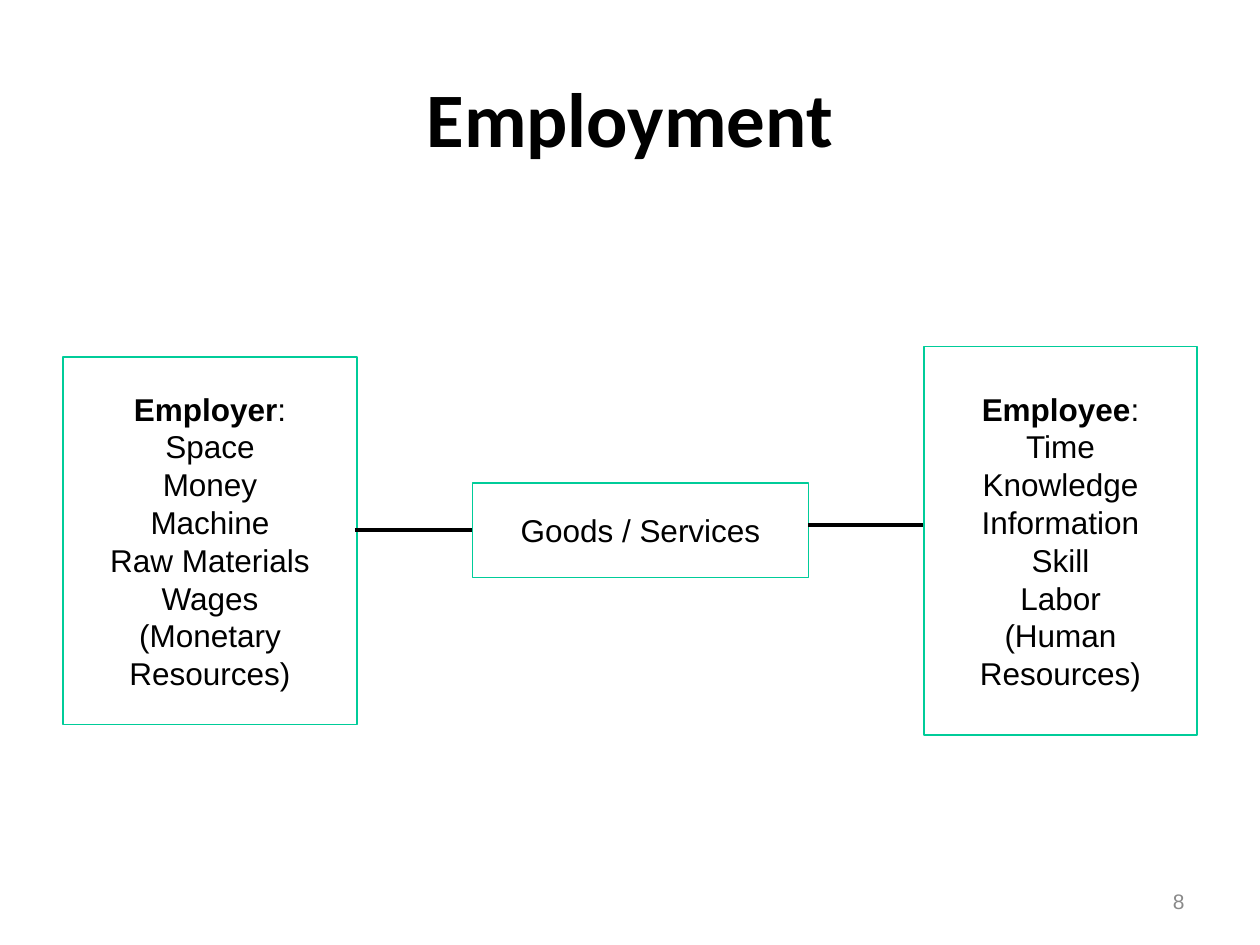
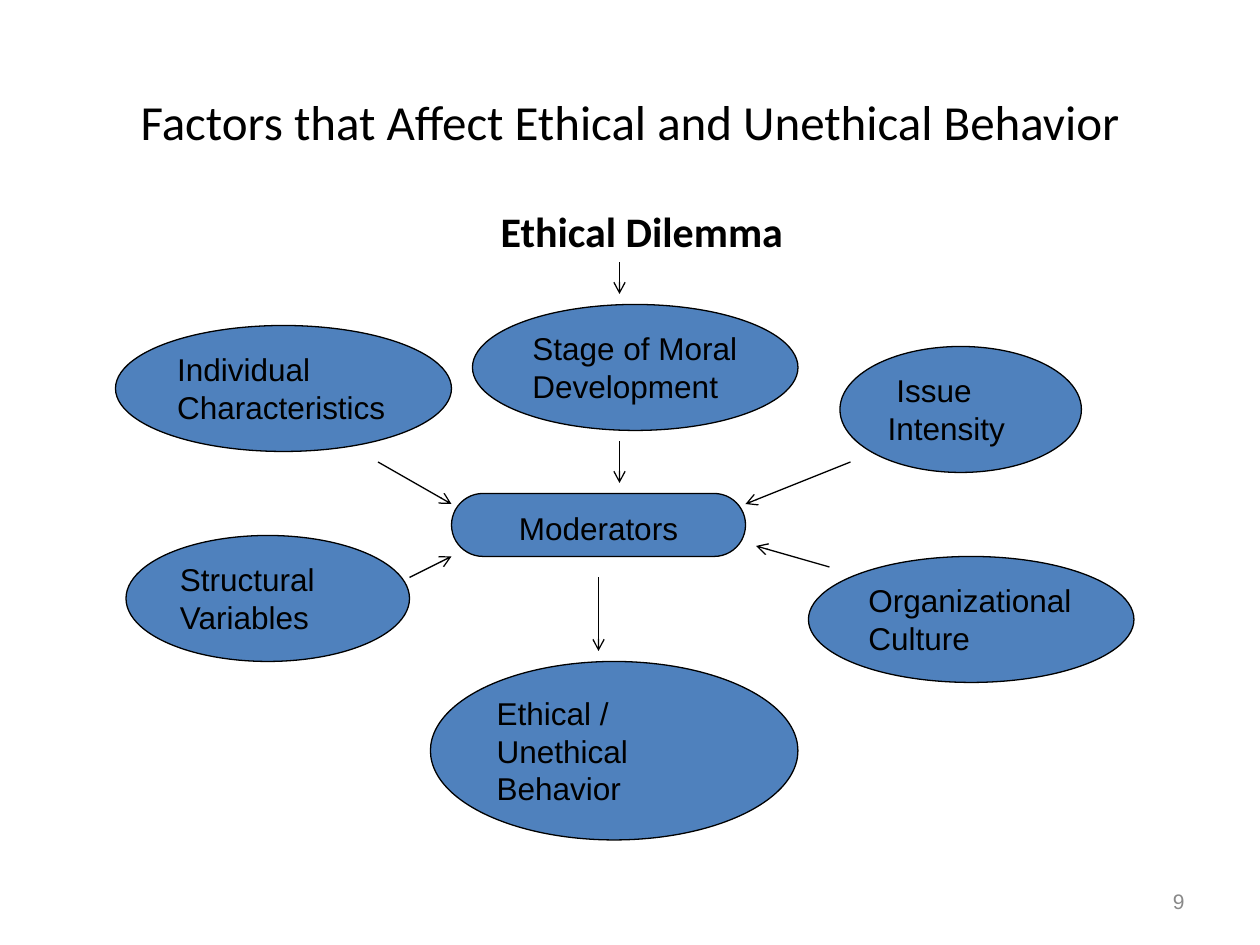
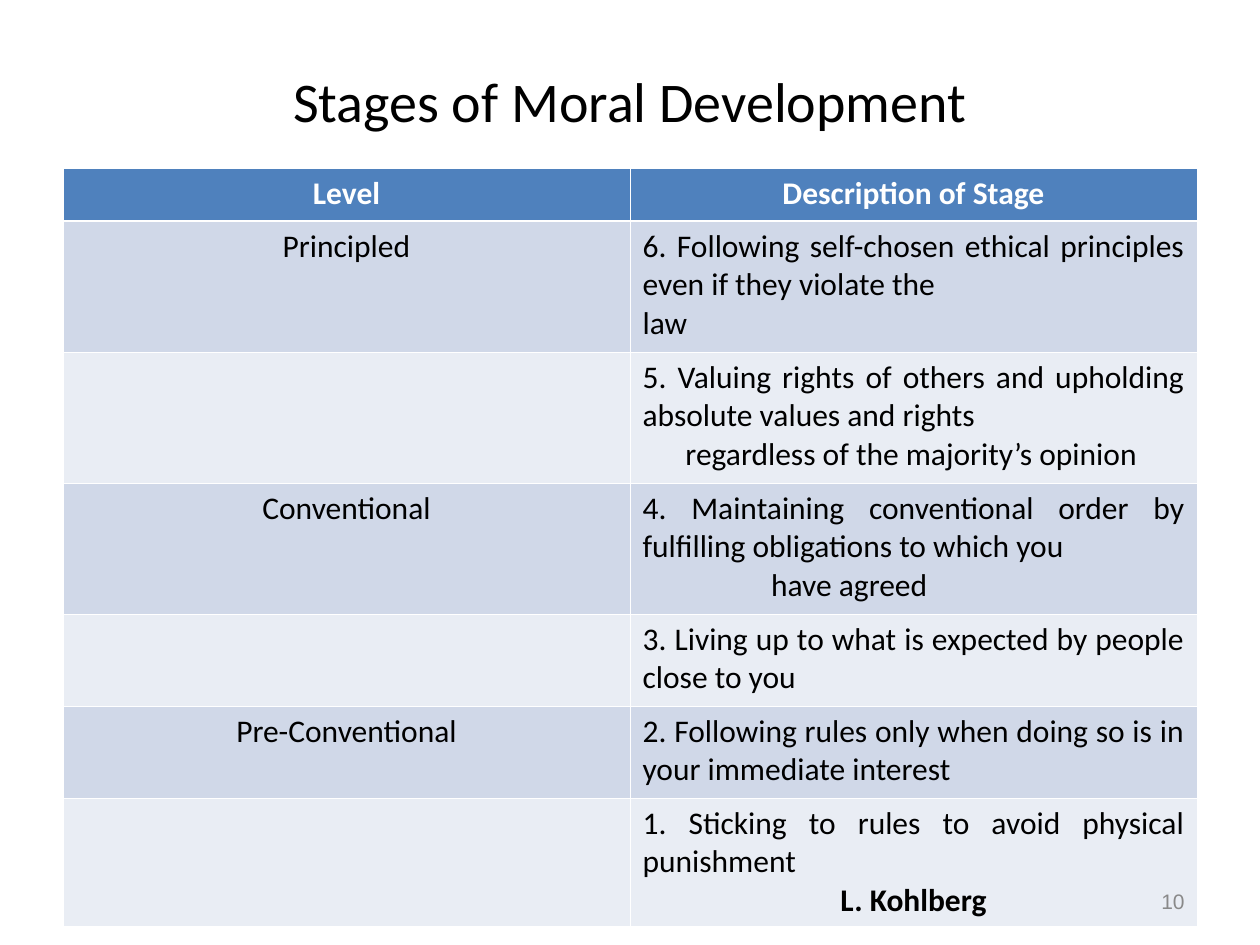
from lxml.etree import SubElement
from pptx import Presentation
from pptx.dml.color import RGBColor
from pptx.enum.shapes import MSO_CONNECTOR, MSO_SHAPE
from pptx.enum.text import MSO_ANCHOR, PP_ALIGN
from pptx.oxml.ns import qn
from pptx.util import Inches, Pt

# Shared style
BLACK, WHITE, GREY = "000000", "FFFFFF", "898989"
BLUE, GREEN, BAND_DARK, BAND_LIGHT = "4F81BD", "00CC99", "D0D8E8", "E9EDF4"
LEFT, CENTER, RIGHT, JUSTIFY = PP_ALIGN.LEFT, PP_ALIGN.CENTER, PP_ALIGN.RIGHT, PP_ALIGN.JUSTIFY
BODY = {"name": "Arial", "size": 18, "color": BLACK, "bold": False}
HEADING = BODY | {"name": "Calibri"}
NUMBER = BODY | {"size": 12, "color": GREY}
GRID = 12  # grid units to the inch: the slide is 120 by 90
NUMBER_AREA = (86, 83.4, 28, 4.8)

# Employment: area and lines of each box, then links (x1, y1, x2, y2)
EMPLOYMENT_BOXES = [
    ((6, 34, 28, 35), "Employer", ["Space", "Money", "Machine", "Raw Materials", "Wages",
                                   "(Monetary", "Resources)"]),
    ((45, 46, 32, 9), None, ["Goods / Services"]),
    ((88, 33, 26, 37), "Employee", ["Time", "Knowledge", "Information", "Skill", "Labor",
                                    "(Human", "Resources)"]),
]
EMPLOYMENT_LINKS = [(33.8, 50.5, 47.25, 50.5), (77, 50, 90.5, 50)]

# Factors: area, text, first-line indent in inches
DILEMMA = ((46.5, 19, 40, 6), "Ethical Dilemma")
MODERATORS = ((43, 47, 28, 6), "Moderators")
FACTORS = [
    ((11, 31, 32, 12), "Individual Characteristics", 0),
    ((12, 51, 27, 12), "Structural Variables", 0),
    ((80, 33, 23, 12), "Issue Intensity", 0.07),
    ((77, 53, 31, 12), "Organizational Culture", 0),
    ((45, 29, 31, 12), "Stage of Moral Development", 0),
    ((41, 63, 35, 17), "Ethical / Unethical Behavior", 0),
]
FACTOR_ARROWS = [
    (59, 25, 59, 28), (36, 44, 43, 48), (59, 42, 59, 46), (81, 44, 71, 48),
    (39, 55, 43, 53), (79, 54, 72, 52), (57, 55, 57, 62),
]

# Stages: level, description, (last line, its alignment, its left indent), row height
STAGE_AREA = (6, 16, 108, 72.24)
STAGE_HEADER = ("Level", "Description of Stage")
HEADER_HEIGHT = 0.42
STAGES = [
    ("Principled", "6. Following self-chosen ethical principles even if they violate the",
     ("law", LEFT, 0), 1.04),
    ("", "5. Valuing rights of others and upholding absolute values and rights",
     ("regardless of the majority’s opinion", LEFT, 0.34), 1.04),
    ("Conventional", "4. Maintaining conventional order by fulfilling obligations to which you",
     ("have agreed", LEFT, 1.02), 1.04),
    ("", "3. Living up to what is expected by people close to you", None, 0.73),
    ("Pre-Conventional", "2. Following rules only when doing so is in your immediate interest",
     None, 0.73),
    ("", "1. Sticking to rules to avoid physical punishment",
     ("L. Kohlberg", CENTER, 0), 1.02),
]


def rgb(value):
    return RGBColor.from_string(value)


def place(*units):
    return [Inches(unit / GRID) for unit in units]


def write(paragraph, runs, align=LEFT, margin=0, indent=0):
    """Fill a paragraph with (text, style) runs."""
    properties = paragraph._p.get_or_add_pPr()
    for key, inches in {"marL": margin, "indent": indent}.items():
        if inches:
            properties.set(key, str(Inches(inches)))
    paragraph.alignment = align
    for text, style in runs:
        run = paragraph.add_run()
        run.text = text
        for key, value in style.items():
            if key == "color":
                run.font.color.rgb = rgb(value)
            else:
                setattr(run.font, key, Pt(value) if key == "size" else value)


def add_label(slide, area, text, style, align=LEFT, anchor=MSO_ANCHOR.TOP):
    frame = slide.shapes.add_textbox(*place(*area)).text_frame
    frame.word_wrap, frame.vertical_anchor = True, anchor
    write(frame.paragraphs[0], [(text, style)], align)


def add_box(slide, kind, area, fill, line, width, anchor=MSO_ANCHOR.TOP, wrap=True):
    box = slide.shapes.add_shape(kind, *place(*area))
    box.shadow.inherit = False
    box.fill.solid()
    box.fill.fore_color.rgb = rgb(fill)
    box.line.color.rgb, box.line.width = rgb(line), Pt(width)
    box.text_frame.vertical_anchor, box.text_frame.word_wrap = anchor, wrap
    return box


def add_arrow(slide, ends, width, head):
    arrow = slide.shapes.add_connector(MSO_CONNECTOR.STRAIGHT, *place(*ends))
    arrow.line.color.rgb, arrow.line.width = rgb(BLACK), Pt(width)
    SubElement(arrow.line._get_or_add_ln(), qn("a:tailEnd"), type=head)
    SubElement(arrow._element.spPr, qn("a:effectLst"))


def add_slide(deck, title, area, size, bold=False):
    slide = deck.slides.add_slide(deck.slide_layouts[5])
    heading = slide.shapes.title
    heading.left, heading.top, heading.width, heading.height = place(*area)
    heading.text_frame.vertical_anchor = MSO_ANCHOR.MIDDLE
    write(heading.text_frame.paragraphs[0],
          [(title, HEADING | {"size": size, "bold": bold})], CENTER)
    return slide


def add_number(slide, number):
    add_label(slide, NUMBER_AREA, str(number), NUMBER, RIGHT, MSO_ANCHOR.MIDDLE)


def format_cell(cell, fill, top, bottom):
    properties = cell._tc.get_or_add_tcPr()
    for side, width in {"lnL": 0.45, "lnR": 0.45, "lnT": top, "lnB": bottom}.items():
        border = SubElement(properties, qn(f"a:{side}"), w=str(Pt(width)))
        SubElement(SubElement(border, qn("a:solidFill")), qn("a:srgbClr"), val=WHITE)
    cell.fill.solid()
    cell.fill.fore_color.rgb = rgb(fill)


def employment(deck):
    slide = add_slide(deck, "Employment", (6, 3.6, 108, 15), 44, True)
    # Each link runs behind the box it leads to
    for (area, owner, lines), link in zip(EMPLOYMENT_BOXES, EMPLOYMENT_LINKS + [None]):
        box = add_box(slide, MSO_SHAPE.RECTANGLE, area, WHITE, GREEN, 1, MSO_ANCHOR.MIDDLE, False)
        rows = [[(line, BODY)] for line in lines]
        if owner:
            rows.insert(0, [(owner, BODY | {"bold": True}), (":", BODY)])
        frame = box.text_frame
        for index, runs in enumerate(rows):
            write(frame.add_paragraph() if index else frame.paragraphs[0], runs, CENTER)
        if link:
            add_arrow(slide, link, 2.25, "stealth")
    add_number(slide, 8)


def factors(deck):
    slide = add_slide(deck, "Factors that Affect Ethical and Unethical Behavior",
                      (6, 6, 108, 11), 28)
    add_label(slide, *DILEMMA, HEADING | {"size": 24, "bold": True})
    area, text = MODERATORS
    moderators = add_box(slide, MSO_SHAPE.ROUNDED_RECTANGLE, area, BLUE, BLACK, 0.75)
    moderators.adjustments[0] = 0.5
    write(moderators.text_frame.paragraphs[0], [(text, BODY)], CENTER)
    for area, text, indent in FACTORS:
        factor = add_box(slide, MSO_SHAPE.OVAL, area, BLUE, BLACK, 0.75)
        write(factor.text_frame.paragraphs[0], [(text, BODY)], indent=indent)
    for ends in FACTOR_ARROWS:
        add_arrow(slide, ends, 0.75, "arrow")
    add_number(slide, 9)


def stages(deck):
    slide = add_slide(deck, "Stages of Moral Development", (6, 6, 108, 7), 32)
    table = slide.shapes.add_table(len(STAGES) + 1, 2, *place(*STAGE_AREA)).table
    # Header row
    table.rows[0].height = Inches(HEADER_HEIGHT)
    for cell, text in zip(table.rows[0].cells, STAGE_HEADER):
        format_cell(cell, BLUE, 0.45, 1.47)
        write(cell.text_frame.paragraphs[0],
              [(text, HEADING | {"color": WHITE, "bold": True})], CENTER)
    # Banded rows
    for index, (level, description, ending, height) in enumerate(STAGES):
        row = table.rows[index + 1]
        row.height = Inches(height)
        for cell in row.cells:
            format_cell(cell, BAND_LIGHT if index % 2 else BAND_DARK,
                        0.45 if index else 1.47, 0.45)
        level_cell, stage_cell = row.cells
        if level:
            write(level_cell.text_frame.paragraphs[0], [(level, HEADING)], CENTER)
        write(stage_cell.text_frame.paragraphs[0], [(description, HEADING)], JUSTIFY)
        if ending:
            text, align, margin = ending
            style = HEADING | {"bold": align == CENTER}
            write(stage_cell.text_frame.add_paragraph(), [(text, style)], align, margin)
    add_number(slide, 10)


def main():
    deck = Presentation()
    deck.slide_width, deck.slide_height = place(120, 90)
    for build in (employment, factors, stages):
        build(deck)
    deck.save("out.pptx")


if __name__ == "__main__":
    main()
